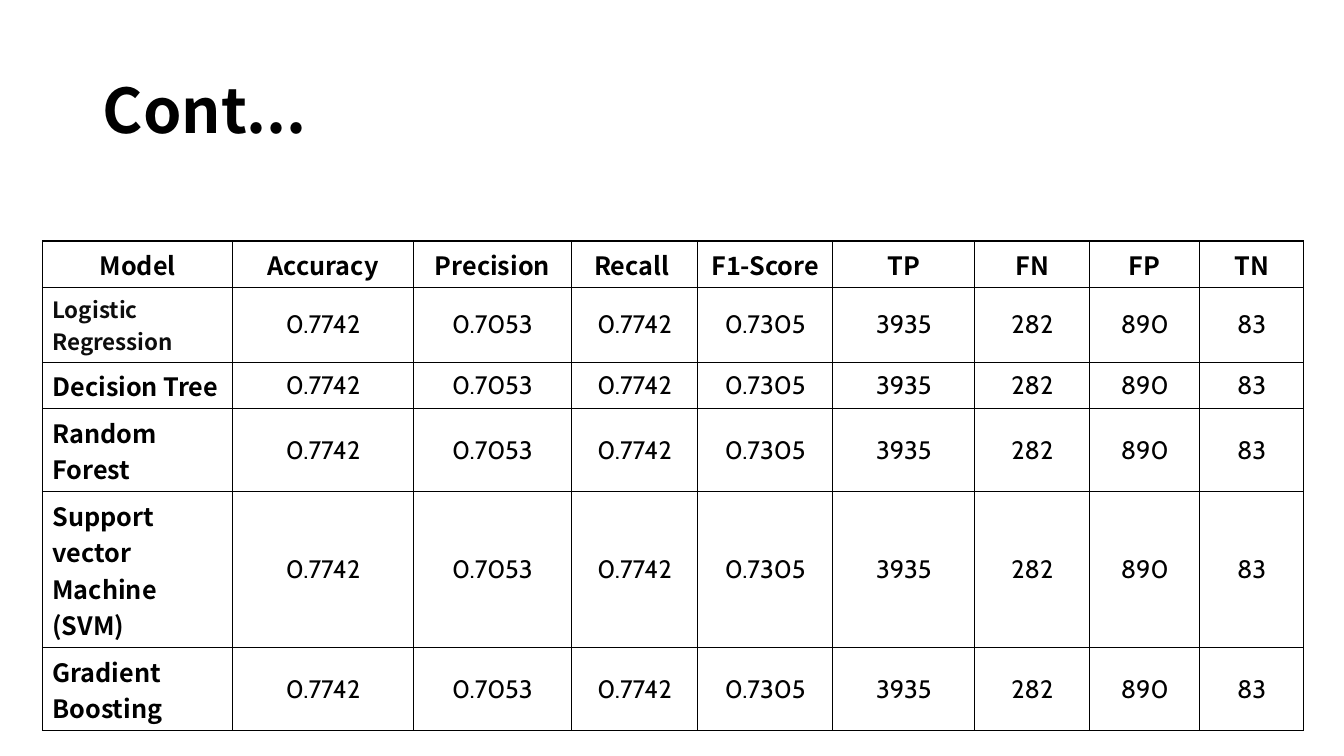
from dataclasses import dataclass

from pptx import Presentation
from pptx.dml.color import RGBColor
from pptx.enum.text import MSO_ANCHOR as ANCHOR, PP_ALIGN as ALIGN
from pptx.oxml import parse_xml
from pptx.oxml.ns import nsdecls
from pptx.util import Inches, Pt


@dataclass(frozen=True)
class Theme:
    black: str = "000000"
    near_black: str = "0D0D0D"
    heading_font: str = "Noto Sans CJK SC"
    value_font: str = "Cabin"
    title_size: int = 44
    table_size: int = 18
    small_size: int = 16


theme = Theme()


def style_text(p, font, size, color, bold):
    for r in p.runs:
        r.font.name = font
        r.font.size = Pt(size)
        r.font.bold = bold
        r.font.color.rgb = RGBColor.from_string(color)


def add_borders(cell, color):
    for side in ("lnL", "lnR", "lnT", "lnB"):
        cell._tc.get_or_add_tcPr().append(parse_xml(
            f'<a:{side} {nsdecls("a")} w="{Pt(1)}"><a:solidFill>'
            f'<a:srgbClr val="{color}"/></a:solidFill></a:{side}>'))


prs = Presentation()
prs.slide_width = Inches(13.33)
prs.slide_height = Inches(7.5)
s = prs.slides.add_slide(prs.slide_layouts[5])

title = s.shapes.title
title.left, title.top = Inches(0.92), Inches(0.4)
title.width, title.height = Inches(11.5), Inches(1.45)
tf = title.text_frame
tf.text = "Cont..."
tf.word_wrap = True
tf.vertical_anchor = ANCHOR.MIDDLE
p = tf.paragraphs[0]
p.alignment = ALIGN.LEFT
p.line_spacing = 0.9
style_text(p, theme.heading_font, theme.title_size, theme.black, True)

headers = ["Model", "Accuracy", "Precision", "Recall ", "F1-Score", "TP", "FN", "FP", "TN"]
models = ["Logistic Regression", "Decision Tree", "Random Forest",
          "Support vector Machine (SVM)", "Gradient Boosting"]
scores = ["0.7742", "0.7053", "0.7742", "0.7305", "3935", "282", "890", "83"]
rows = [headers] + [[model] + scores for model in models]
col_widths = [1.89, 1.79, 1.57, 1.25, 1.34, 1.41, 1.14, 1.09, 1.03]
row_heights = [0.4, 0.41, 0.41, 0.52, 0.41, 0.65]

frame = s.shapes.add_table(len(rows), len(headers), Inches(0.42), Inches(2.39),
                           Inches(12.5), Inches(3.13))
table = frame.table
table.first_row = False
table.horz_banding = False
for column, width in zip(table.columns, col_widths):
    column.width = Inches(width)
for row, height in zip(table.rows, row_heights):
    row.height = Inches(height)
frame.height = Inches(3.13)

for i, values in enumerate(rows):
    for j, value in enumerate(values):
        cell = table.cell(i, j)
        add_borders(cell, theme.black)
        cell.fill.background()
        cell.text = value
        p = cell.text_frame.paragraphs[0]
        is_score = i > 0 and j > 0
        is_small = value == "Logistic Regression"
        p.alignment = ALIGN.CENTER if i == 0 or is_score else ALIGN.LEFT
        cell.vertical_anchor = ANCHOR.MIDDLE if is_score else ANCHOR.TOP
        style_text(p, theme.value_font if is_score else theme.heading_font,
                   theme.small_size if is_small else theme.table_size,
                   theme.near_black if is_small else theme.black, not is_score)

prs.save("out.pptx")
